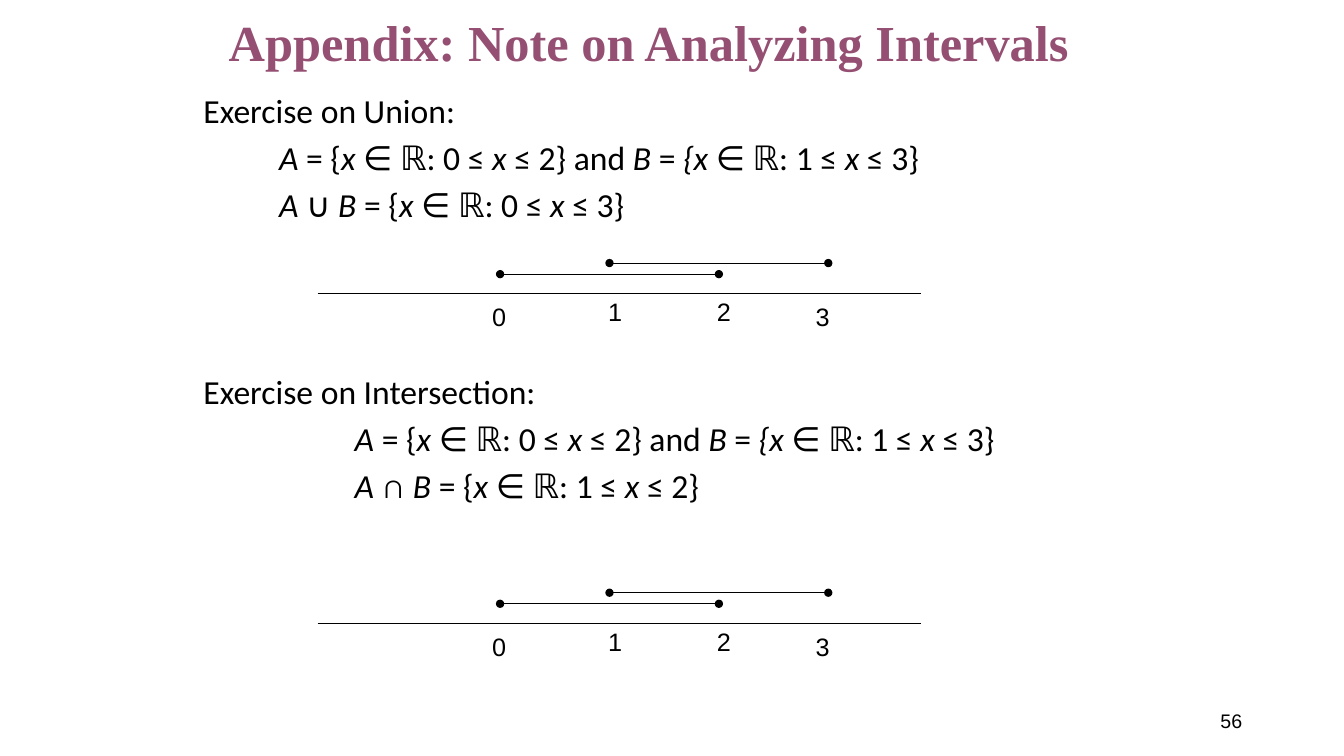
"""Build the slide on unions and intersections of intervals."""
import pptx
import pptx.dml.color
import pptx.enum.shapes
import pptx.enum.text
import pptx.oxml
import pptx.oxml.ns
import pptx.util

COLORS = {"ink": "000000", "heading": "954F72", "paper": "FFFFFF"}
CELL = 0.1
TAB = 7.5
ZERO, UNIT = 49.6, 10.85
FIGURE_SHIFT = 32.7
SETS = "*A* = {*x* ∈ ℝ: 0 ≤ *x* ≤ 2} and *B* = *{x* ∈ ℝ: 1 ≤ *x* ≤ 3}"


class Sheet:
    """Draw on the current slide, with lengths in grid cells of a tenth of an inch."""

    def __init__(self, deck):
        self.slide = deck.slides.add_slide(deck.slide_layouts[6])
        self.slide.background.fill.solid()
        self.slide.background.fill.fore_color.rgb = self.color("paper")

    def color(self, key):
        return pptx.dml.color.RGBColor.from_string(COLORS[key])

    def cells(self, *counts):
        return [pptx.util.Inches(count * CELL) for count in counts]

    def text(self, area, lines, size, face="Arial", color="ink", bold=False, align="LEFT",
             anchor="TOP", spacing=1.0, before=0, side=1, indents=(0,)):
        frame = self.slide.shapes.add_textbox(*self.cells(*area)).text_frame
        frame.word_wrap = True
        frame.margin_left, frame.margin_right = self.cells(side, side)
        frame.vertical_anchor = getattr(pptx.enum.text.MSO_ANCHOR, anchor)
        for index, (line, indent) in enumerate(zip(lines, indents)):
            paragraph = frame.add_paragraph() if index else frame.paragraphs[0]
            paragraph.alignment = getattr(pptx.enum.text.PP_ALIGN, align)
            paragraph.line_spacing = spacing
            paragraph.space_before = pptx.util.Pt(before)
            paragraph.font.name = face
            paragraph.font.size = pptx.util.Pt(size)
            paragraph.font.bold = bold
            paragraph.font.color.rgb = self.color(color)
            if indent:
                paragraph._p.get_or_add_pPr().set("marL", str(self.cells(indent)[0]))
            for turn, part in enumerate(line.split("*")):
                if part:
                    run = paragraph.add_run()
                    run.text = part
                    if turn % 2:
                        run.font.italic = True

    def line(self, left, right, row, dots=False):
        segment = self.slide.shapes.add_connector(
            pptx.enum.shapes.MSO_CONNECTOR.STRAIGHT, *self.cells(left, row, right, row))
        segment.line.color.rgb = self.color("ink")
        segment.line.width = pptx.util.Pt(0.5)
        if dots:
            outline = segment.line._get_or_add_ln()
            for end in ("a:headEnd", "a:tailEnd"):
                pptx.oxml.ns.qn(end)
                outline.append(pptx.oxml.parse_xml(
                    f'<{end} {pptx.oxml.ns.nsdecls("a")} type="oval"/>'))
        segment._element.spPr.append(pptx.oxml.parse_xml(
            f'<a:effectLst {pptx.oxml.ns.nsdecls("a")}/>'))

    def exercise(self, row, lines, indent):
        self.text((19.2, row, 90, 15), lines, 24, face="Calibri", spacing=0.9,
                  before=7.5, indents=(0, indent, indent))

    def intervals(self, axis):
        for start, row in ((0, axis - 1.9), (1, axis - 3)):
            left = ZERO + UNIT * start
            self.line(left, left + 2 * UNIT, row, dots=True)
        self.line(31.5, 91.3, axis)
        for label, (left, drop) in enumerate(
                ((48.6, 0.3), (60.1, -0.2), (70.9, -0.2), (80.7, 0.3))):
            self.text((left, axis + drop, 1.8, 4), [str(label)], 18, align="CENTER", side=0)


def main():
    deck = pptx.Presentation()
    deck.slide_width, deck.slide_height = pptx.util.Inches(13.33), pptx.util.Inches(7.5)
    sheet = Sheet(deck)
    sheet.text((94.2, 69.5, 30, 4), ["56"], 14, align="RIGHT", anchor="MIDDLE")
    sheet.text((21.7, 0.3, 90, 8.4), ["Appendix: Note on Analyzing Intervals"], 36,
               face="Times New Roman", color="heading", bold=True, anchor="MIDDLE", spacing=0.9)
    sheet.exercise(8.9, ["Exercise on Union:", SETS,
                         "*A *∪ *B* = {*x* ∈ ℝ: 0 ≤ *x* ≤ 3}"], TAB)
    sheet.exercise(36.8, ["Exercise on Intersection:", SETS,
                          "*A *∩ *B* = {*x* ∈ ℝ: 1 ≤ *x* ≤ 2}"], 2 * TAB)
    for figure in range(2):
        sheet.intervals(29.1 + FIGURE_SHIFT * figure)
    deck.save("out.pptx")


if __name__ == "__main__":
    main()
